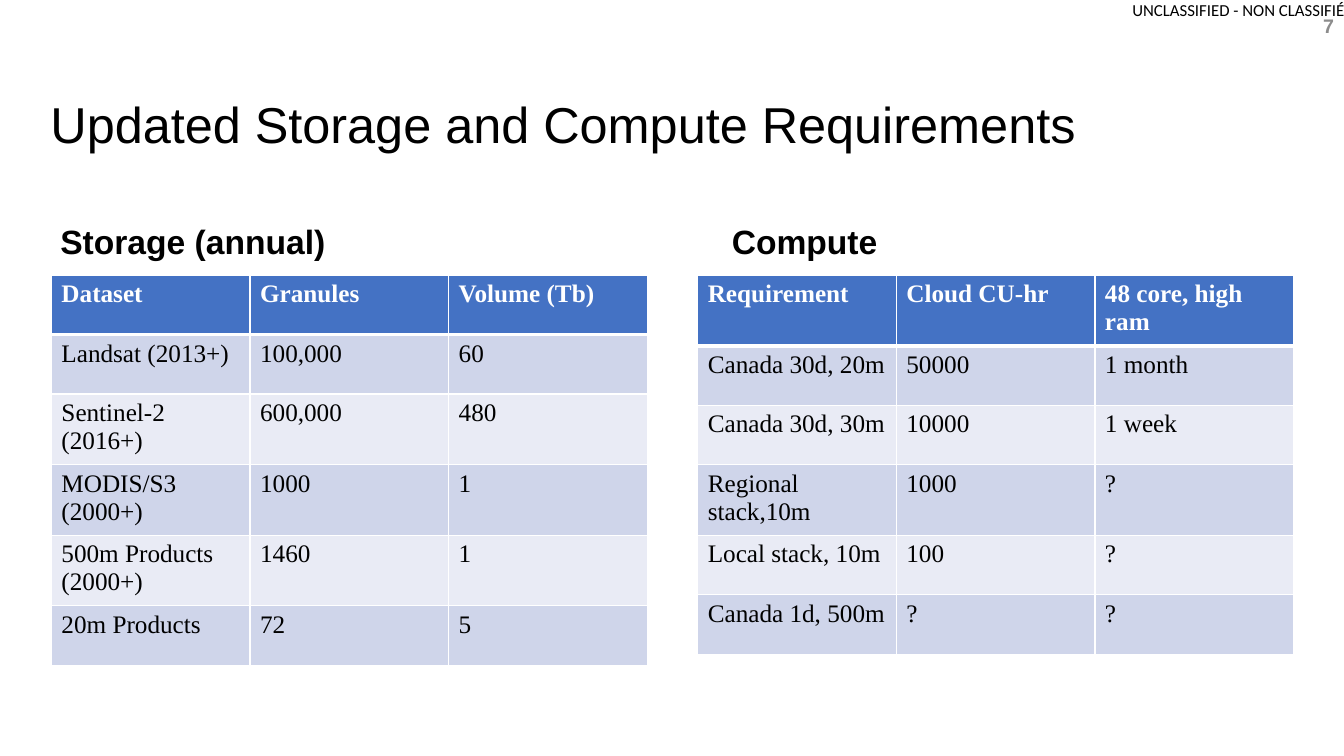
from lxml import etree
from pptx import Presentation
from pptx import util as u
from pptx.dml import color
from pptx.enum import text
from pptx.oxml import ns

STORAGE = [
    ["Dataset", "Granules", "Volume (Tb)"],
    ["Landsat (2013+)", "100,000", "60"],
    ["Sentinel-2 (2016+)", "600,000", "480"],
    ["MODIS/S3 (2000+)", "1000", "1"],
    ["500m Products\n(2000+)", "1460", "1"],
    ["20m Products", "72", "5"],
]
COMPUTE = [
    ["Requirement", "Cloud CU-hr", "48 core, high ram"],
    ["Canada 30d, 20m", "50000", "1 month"],
    ["Canada 30d, 30m", "10000", "1 week"],
    ["Regional stack,10m", "1000", "?"],
    ["Local stack, 10m", "100", "?"],
    ["Canada 1d, 500m", "?", "?"],
]


class SlideBuilder:
    """Holds the style and the current slide, and adds elements to it."""

    colors = {
        "black": "000000", "white": "FFFFFF", "grey": "8C8C8C",
        "header": "4472C4", "odd": "CFD5EA", "even": "E9EBF5",
    }
    column_width = 1.97
    row_height = 0.59

    def __init__(self, slide):
        self.slide = slide

    def rgb(self, name):
        return color.RGBColor.from_string(self.colors[name])

    def run(self, paragraph, words, size, font, ink="black", bold=False):
        run = paragraph.add_run()
        run.text = words
        run.font.size = u.Pt(size)
        run.font.name = font
        run.font.bold = bold
        run.font.color.rgb = self.rgb(ink)

    def label(self, box, words, size, font="Arial", ink="black", bold=False,
              anchor=text.MSO_ANCHOR.BOTTOM, align=text.PP_ALIGN.LEFT,
              margins=(0.1, 0.05, 0.1, 0.05), spacing=0.9, wrap=True):
        shape = self.slide.shapes.add_textbox(*map(u.Inches, box))
        frame = shape.text_frame
        frame.word_wrap = wrap
        frame.vertical_anchor = anchor
        (frame.margin_left, frame.margin_top,
         frame.margin_right, frame.margin_bottom) = map(u.Inches, margins)
        paragraph = frame.paragraphs[0]
        paragraph.alignment = align
        paragraph.line_spacing = spacing
        self.run(paragraph, words, size, font, ink, bold)

    def border(self, cell, side, points):
        properties = cell._tc.get_or_add_tcPr()
        line = etree.SubElement(properties, ns.qn(f"a:ln{side}"), w=str(u.Pt(points)))
        fill = etree.SubElement(line, ns.qn("a:solidFill"))
        etree.SubElement(fill, ns.qn("a:srgbClr"), val=self.colors["white"])

    def cell(self, cell, words, row):
        widths = {"L": 1, "R": 1, "T": 3 if row == 1 else 1, "B": 3 if row == 0 else 1}
        for side, points in widths.items():
            self.border(cell, side, points)
        fill = "header" if row == 0 else "odd" if row % 2 else "even"
        cell.fill.solid()
        cell.fill.fore_color.rgb = self.rgb(fill)
        ink = "white" if row == 0 else "black"
        frame = cell.text_frame
        for index, line in enumerate(words.split("\n")):
            paragraph = frame.add_paragraph() if index else frame.paragraphs[0]
            self.run(paragraph, line, 18, "Times New Roman", ink, row == 0)

    def table(self, left, top, rows):
        count = len(rows[0])
        table = self.slide.shapes.add_table(
            len(rows), count, u.Inches(left), u.Inches(top),
            u.Inches(self.column_width * count),
            u.Inches(self.row_height * len(rows))).table
        for column in table.columns:
            column.width = u.Inches(self.column_width)
        for row, values in enumerate(rows):
            table.rows[row].height = u.Inches(self.row_height)
            for column, words in enumerate(values):
                self.cell(table.cell(row, column), words, row)


def main():
    presentation = Presentation()
    presentation.slide_width = u.Inches(13.33)
    presentation.slide_height = u.Inches(7.5)
    builder = SlideBuilder(presentation.slides.add_slide(presentation.slide_layouts[6]))

    builder.label((11.23, 0, 2.15, 0.2), "UNCLASSIFIED - NON CLASSIFIÉ", 12, "Calibri",
                  anchor=text.MSO_ANCHOR.TOP, margins=(0, 0, 0, 0), spacing=1.0, wrap=False)
    builder.label((0.5, 0.5, 12.33, 1.08), "Updated Storage and Compute Requirements", 36,
                  margins=(0, 0.05, 0.1, 0.05))
    builder.label((0.5, 1.75, 5.64, 0.9), "Storage (annual)", 24, bold=True)
    builder.label((7.16, 1.75, 5.67, 0.9), "Compute", 24, bold=True)
    builder.label((12.84, 0, 0.49, 0.5), "7", 14, ink="grey", bold=True, spacing=1.0,
                  anchor=text.MSO_ANCHOR.MIDDLE, align=text.PP_ALIGN.RIGHT)
    builder.table(0.51, 2.73, STORAGE)
    builder.table(6.92, 2.73, COMPUTE)
    presentation.save("out.pptx")


if __name__ == "__main__":
    main()
